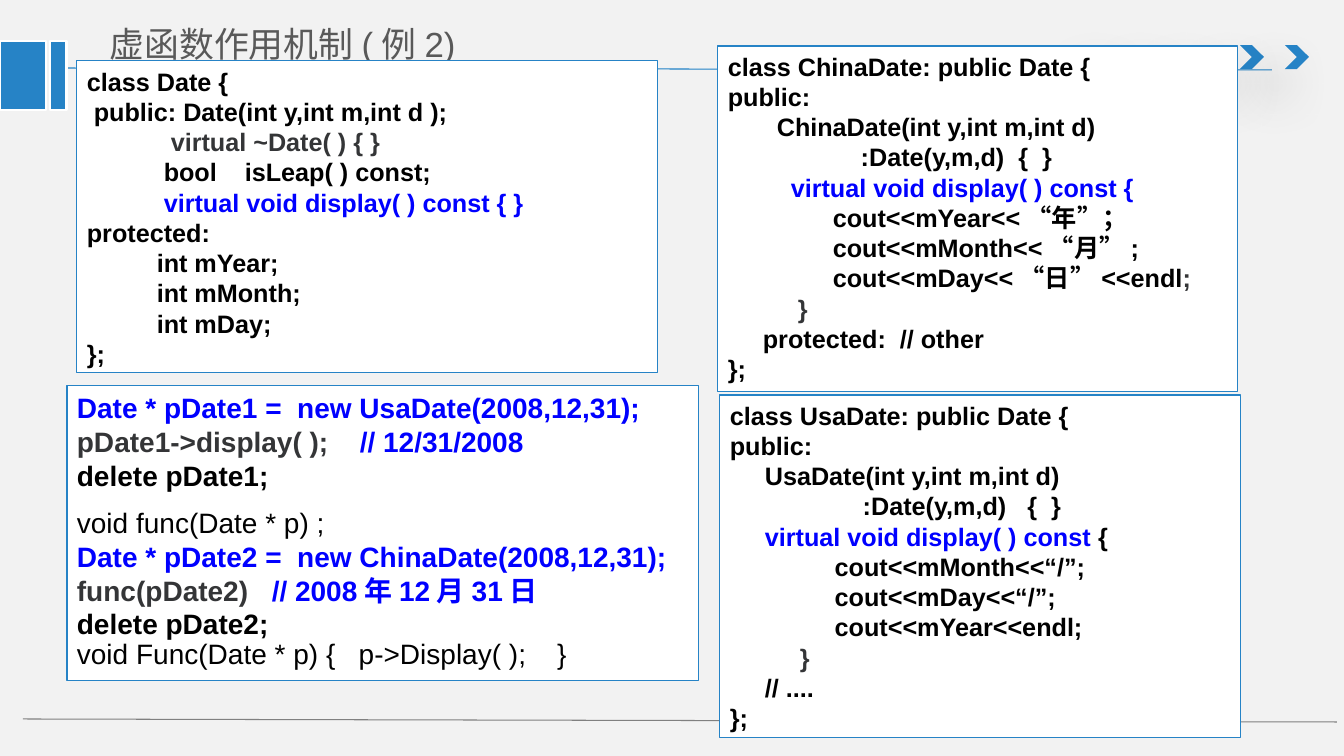
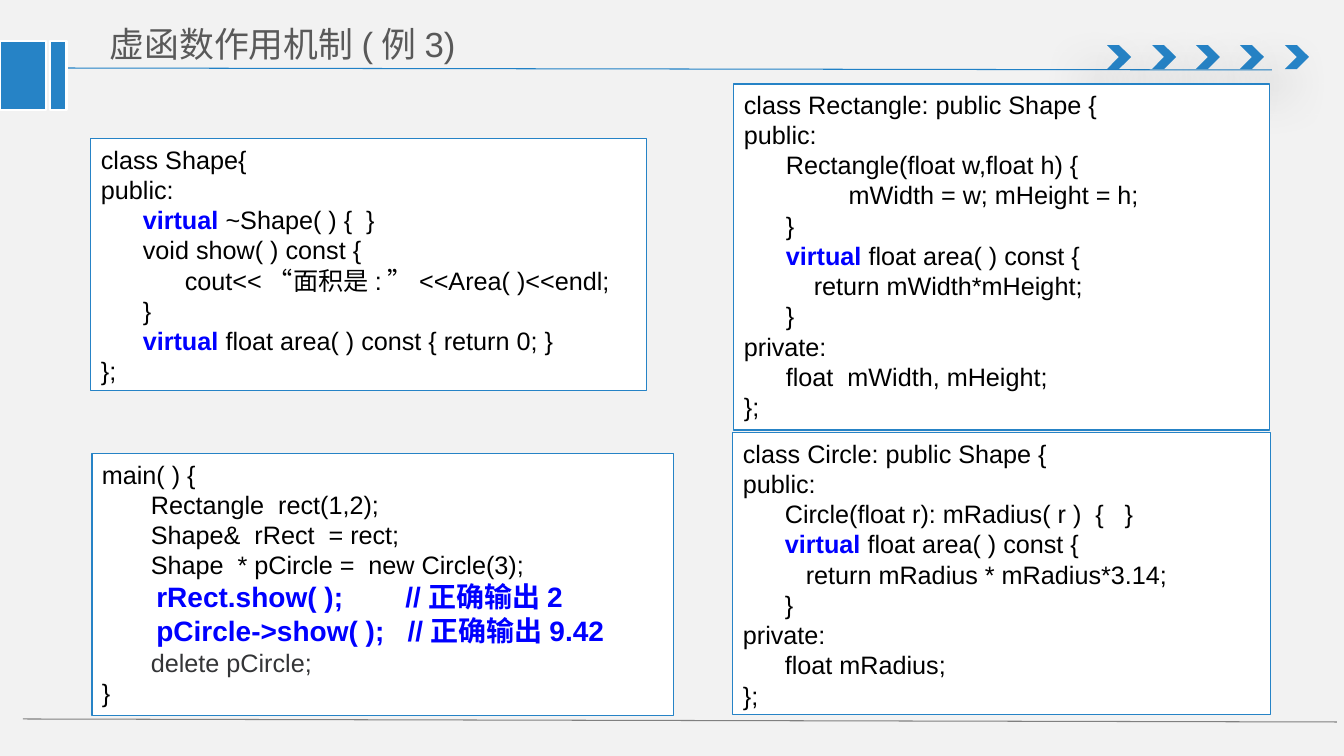
from dataclasses import dataclass
from typing import NamedTuple

from lxml.etree import SubElement
from pptx import Presentation
from pptx.dml.color import RGBColor
from pptx.enum.shapes import MSO_CONNECTOR, MSO_SHAPE as Preset
from pptx.enum.text import MSO_ANCHOR as Anchor
from pptx.oxml.ns import qn
from pptx.util import Emu, Pt

EMU_PER_PX = 914400 / 100.8


@dataclass(frozen=True)
class Theme:
    page: str = "F2F2F2"
    panel: str = "FFFFFF"
    accent: str = "2683C6"
    top_rule: str = "2181C6"
    bottom_rule: str = "808080"
    shadow: str = "000000"
    title: str = "595959"
    code: str = "000000"
    soft: str = "343537"
    highlight: str = "0000FF"
    face: str = "Arial"
    title_size: float = 24.9
    code_size: float = 18
    large_size: float = 20
    hairline: float = 0.75
    block_border: float = 2
    line_pitch: float = 1.0


THEME = Theme()


class Style(NamedTuple):
    ink: str = THEME.code
    bold: bool = False
    size: float = THEME.code_size


PLAIN = Style()
SOFT = Style(THEME.soft)
BOLD = Style(bold=True)
SOFT_BOLD = Style(THEME.soft, True)
VIRTUAL = Style(THEME.highlight, True)
LARGE = PLAIN._replace(size=THEME.large_size)
LARGE_BOLD = LARGE._replace(bold=True)
LARGE_SOFT = SOFT_BOLD._replace(size=THEME.large_size)
LARGE_BLUE = VIRTUAL._replace(size=THEME.large_size)
TITLE = Style(THEME.title, size=THEME.title_size)


class Span(NamedTuple):
    text: str
    style: Style = PLAIN


class Block(NamedTuple):
    """Spans whose newlines start new paragraphs; the gap precedes the first."""
    spans: list[Span]
    gap: int = 0
    spacing: float = THEME.line_pitch


class Box(NamedTuple):
    left: int
    top: int
    width: int
    height: int


class Pane(NamedTuple):
    box: Box
    blocks: list[Block]


class Page(NamedTuple):
    title: str
    panes: list[Pane]


def px(length: float) -> Emu:
    return Emu(round(length * EMU_PER_PX))


def rgb(value: str) -> RGBColor:
    return RGBColor.from_string(value)


def apply_style(font, style: Style) -> None:
    font.name = THEME.face
    font.size = Pt(style.size)
    font.bold = style.bold
    font.color.rgb = rgb(style.ink)


def split_lines(spans: list[Span]) -> list[list[Span]]:
    lines: list[list[Span]] = [[]]
    for span in spans:
        for index, piece in enumerate(span.text.split("\n")):
            if index:
                lines.append([])
            if piece:
                lines[-1].append(Span(piece, span.style))
    return lines


def write_blocks(frame, blocks: list[Block]) -> None:
    para = None
    for block in blocks:
        for index, spans in enumerate(split_lines(block.spans)):
            para = frame.paragraphs[0] if para is None else frame.add_paragraph()
            para.line_spacing = block.spacing
            if block.gap and index == 0:
                para.space_before = Pt(block.gap)
            uniform = len({span.style for span in spans}) == 1
            if uniform:
                apply_style(para.font, spans[0].style)
            for span in spans:
                run = para.add_run()
                run.text = span.text
                if not uniform:
                    apply_style(run.font, span.style)


def add_text(slide, box: Box, blocks: list[Block], anchor=Anchor.TOP):
    shape = slide.shapes.add_textbox(*map(px, box))
    shape.text_frame.word_wrap = True
    shape.text_frame.vertical_anchor = anchor
    write_blocks(shape.text_frame, blocks)
    return shape


def add_pane(slide, pane: Pane) -> None:
    shape = add_text(slide, pane.box, pane.blocks)
    shape.fill.solid()
    shape.fill.fore_color.rgb = rgb(THEME.panel)
    shape.line.color.rgb = rgb(THEME.accent)
    shape.line.width = Pt(THEME.hairline)


def add_accent(slide, preset: Preset, box: Box):
    shape = slide.shapes.add_shape(preset, *map(px, box))
    shape.shadow.inherit = False
    shape.fill.solid()
    shape.fill.fore_color.rgb = rgb(THEME.accent)
    shape.line.fill.background()
    return shape


def add_chevron(slide, left: int) -> None:
    shape = add_accent(slide, Preset.CHEVRON, Box(left, 45, 24, 24))
    effects = shape._element.spPr.find(qn("a:effectLst"))
    shadow = SubElement(effects, qn("a:outerShdw"), blurRad=str(Pt(36)),
                        dist=str(Pt(24)), dir=str(130 * 60000))
    color = SubElement(shadow, qn("a:srgbClr"), val=THEME.shadow)
    SubElement(color, qn("a:alpha"), val="38000")


def add_rule(slide, start: tuple[int, int], end: tuple[int, int], color: str) -> None:
    rule = slide.shapes.add_connector(MSO_CONNECTOR.STRAIGHT, *map(px, start + end))
    rule.line.color.rgb = rgb(color)
    rule.line.width = Pt(THEME.hairline)
    SubElement(rule._element.spPr, qn("a:effectLst"))


def add_page(deck, page: Page) -> None:
    slide = deck.slides.add_slide(deck.slide_layouts[6])
    slide.background.fill.solid()
    slide.background.fill.fore_color.rgb = rgb(THEME.page)
    add_rule(slide, (53, 68), (1272, 70), THEME.top_rule)
    for index in range(5):
        add_chevron(slide, round(1107 + 44.5 * index))
    add_rule(slide, (23, 719), (1337, 722), THEME.bottom_rule)
    for left, width in ((0, 46), (50, 17)):
        block = add_accent(slide, Preset.RECTANGLE, Box(left, 41, width, 69))
        block.line.color.rgb = rgb(THEME.panel)
        block.line.width = Pt(THEME.block_border)
    add_text(slide, Box(100, 14, 467, 55), [Block([Span(page.title, TITLE)])], Anchor.BOTTOM)
    for pane in page.panes:
        add_pane(slide, pane)


DATE_PAGE = Page("虚函数作用机制(例2)", [
    Pane(Box(77, 61, 581, 312), [Block([
        Span("class Date {\n public: Date(int y,int m,int d );\n", BOLD),
        Span("            virtual ~Date( ) { }\n", SOFT_BOLD),
        Span("           bool    isLeap( ) const;\n", BOLD),
        Span("           virtual void display( ) const { }\n", VIRTUAL),
        Span("protected:\n          int mYear;\n          int mMonth;\n"
             "          int mDay;\n};", BOLD),
    ])]),
    Pane(Box(718, 46, 520, 346), [Block([
        Span("class ChinaDate: public Date {\npublic:\n"
             "       ChinaDate(int y,int m,int d)\n"
             "                   :Date(y,m,d)  {  }\n", BOLD),
        Span("         virtual void display( ) const {\n", VIRTUAL),
        Span("               cout<<mYear<<“年”；\n"
             "               cout<<mMonth<<“月”;\n"
             "               cout<<mDay<<“日”<<endl", BOLD),
        Span(";\n          }\n", SOFT_BOLD),
        Span("     protected:  // other\n};", BOLD),
    ])]),
    Pane(Box(720, 395, 521, 343), [Block([
        Span("class UsaDate: public Date {\npublic:\n"
             "     UsaDate(int y,int m,int d)\n"
             "                   :Date(y,m,d)   {  }\n", BOLD),
        Span("     virtual void display( ) const", VIRTUAL),
        Span(" {\n               cout<<mMonth<<“/”;\n"
             "               cout<<mDay<<“/”;\n"
             "               cout<<mYear<<endl;\n", BOLD),
        Span("          }\n", SOFT_BOLD),
        Span("     // ....\n};", BOLD),
    ])]),
    Pane(Box(67, 386, 632, 295), [
        Block([
            Span("Date * pDate1 =  new UsaDate(2008,12,31);\n", LARGE_BLUE),
            Span("pDate1->display( );   ", LARGE_SOFT),
            Span(" // 12/31/2008\n", LARGE_BLUE),
            Span("delete pDate1;", LARGE_BOLD),
        ]),
        Block([
            Span("void func(Date * p) ;\n", LARGE),
            Span("Date * pDate2 =  new ChinaDate(2008,12,31);\n", LARGE_BLUE),
            Span("func(pDate2)   ", LARGE_SOFT),
            Span("// 2008年12月31日\n", LARGE_BLUE),
            Span("delete pDate2;", LARGE_BOLD),
        ], gap=10),
        Block([Span("void Func(Date * p) {   p->Display( );    }", LARGE)], spacing=0.9),
    ]),
])

SHAPE_PAGE = Page("虚函数作用机制(例3)", [
    Pane(Box(91, 139, 556, 252), [Block([
        Span("class Shape{\npublic:\n"),
        Span("      virtual ", VIRTUAL),
        Span("~Shape( ) {  }\n      void show( ) const {\n"
             "            cout<<“面积是:”<<Area( )<<endl;\n      }\n"),
        Span("      virtual ", VIRTUAL),
        Span("float area( ) const { return 0; }\n};"),
    ])]),
    Pane(Box(733, 433, 538, 282), [Block([
        Span("class Circle: public Shape {\npublic:\n"
             "      Circle(float r): mRadius( r )  {   }\n"),
        Span("      virtual ", VIRTUAL),
        Span("float area( ) const {\n         return mRadius * mRadius*3.14;\n"
             "      }\nprivate:\n      float mRadius;\n};"),
    ])]),
    Pane(Box(92, 454, 582, 262), [Block([
        Span("main( ) {\n       Rectangle  rect(1,2);\n       Shape&  rRect  = rect;\n"
             "       Shape  * pCircle =  new Circle(3);\n"),
        Span("       rRect.show( );        //正确输出2\n"
             "       pCircle->show( );   //正确输出9.42\n", LARGE_BLUE),
        Span("       delete pCircle;\n", SOFT),
        Span("}"),
    ])]),
    Pane(Box(734, 84, 536, 346), [Block([
        Span("class Rectangle: public Shape {\npublic:\n"
             "      Rectangle(float w,float h) {\n"
             "               mWidth = w; mHeight = h;\n      }\n"),
        Span("      virtual ", VIRTUAL),
        Span("float area( ) const {\n          return mWidth*mHeight;\n"
             "      }\nprivate:\n      float  mWidth, mHeight;\n};"),
    ])]),
])


def main() -> None:
    deck = Presentation()
    deck.slide_width, deck.slide_height = px(1344), px(756)
    for page in (DATE_PAGE, SHAPE_PAGE):
        add_page(deck, page)
    deck.save("out.pptx")


if __name__ == "__main__":
    main()
